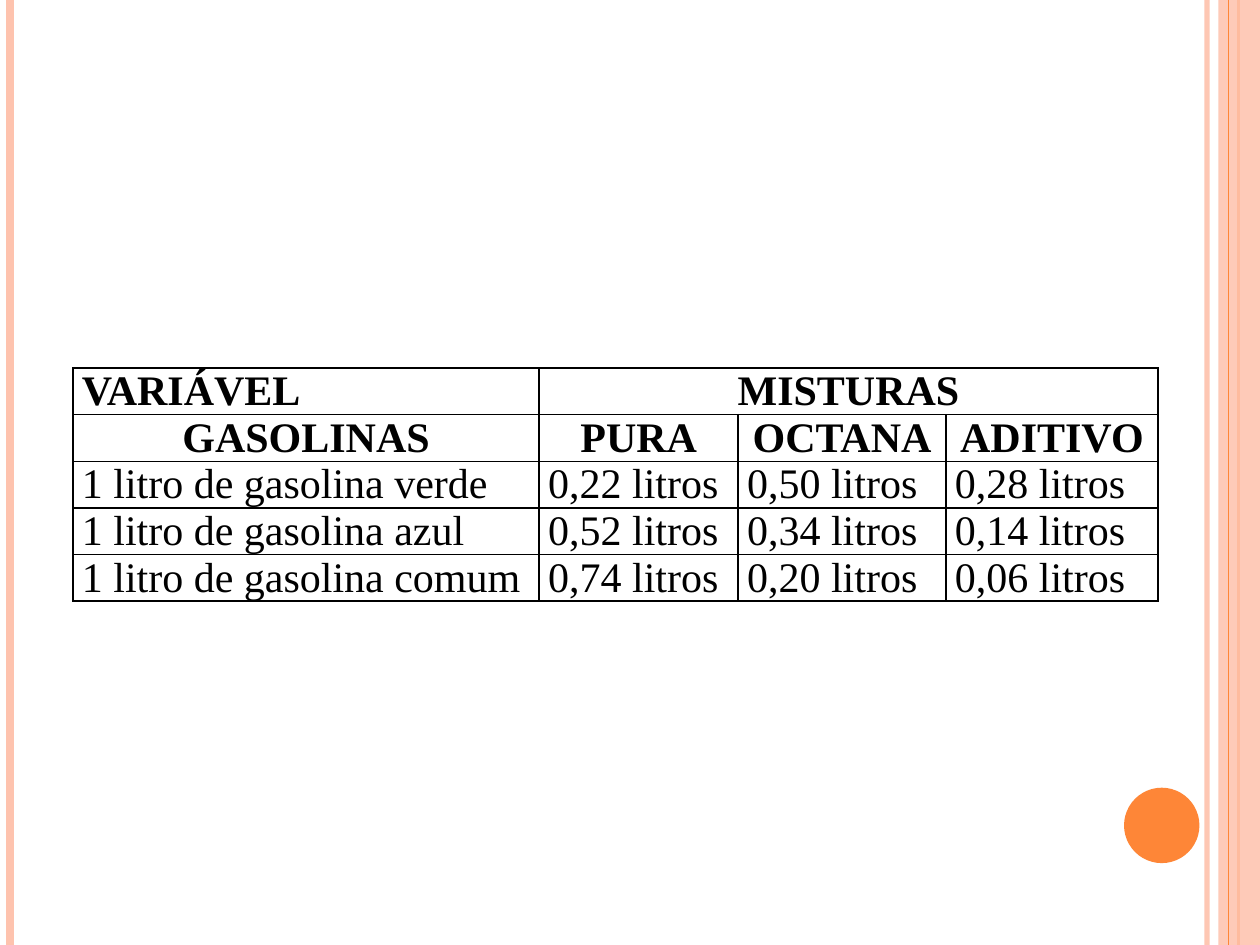
import dataclasses

import lxml.etree
import pptx
import pptx.dml.color
import pptx.enum.shapes
import pptx.enum.text
import pptx.oxml.ns
import pptx.util

Cm = pptx.util.Cm
ALIGN = pptx.enum.text.PP_ALIGN
SHAPE = pptx.enum.shapes.MSO_SHAPE
PAGE_WIDTH, PAGE_HEIGHT = 25.4, 19.05
PEACH, ORANGE, BLACK = "FEC3AE", "FE8637", "000000"
COLUMN_WIDTHS = (9.4, 4.01, 4.19, 4.27)
ROW_HEIGHT = 0.94
ROWS = (
    ("VARIÁVEL", "MISTURAS", "", ""),
    ("GASOLINAS", "PURA", "OCTANA", "ADITIVO"),
    ("1 litro de gasolina verde", "0,22 litros", "0,50 litros", "0,28 litros"),
    ("1 litro de gasolina azul", "0,52 litros", "0,34 litros", "0,14 litros"),
    ("1 litro de gasolina comum", "0,74 litros", "0,20 litros", "0,06 litros"),
)


@dataclasses.dataclass
class Stripe:
    """A full-height vertical line; x in cm, width in points."""
    x: float
    width: float
    color: str
    opacity: int = 100


@dataclasses.dataclass
class Block:
    """A filled shape; lengths in cm, opacity in percent."""
    kind: int
    left: float
    top: float
    width: float
    height: float
    color: str
    opacity: int = 100


DECORATION = (
    Stripe(24.33, 3, PEACH, 93),
    Stripe(0.2, 4.5, PEACH),
    Stripe(24.97, 1.5, ORANGE),
    Block(SHAPE.RECTANGLE, 24.56, 0, 0.84, PAGE_HEIGHT, PEACH, 87),
    Stripe(24.77, 0.75, ORANGE),
    Block(SHAPE.OVAL, 22.66, 15.88, 1.52, 1.52, ORANGE),
)


def rgb(color: str) -> pptx.dml.color.RGBColor:
    """Turn a hex string into a colour."""
    return pptx.dml.color.RGBColor.from_string(color)


def add_child(parent, tag: str, **attributes: str):
    """Append an XML element such as a:alpha and return it."""
    return lxml.etree.SubElement(parent, pptx.oxml.ns.qn(tag), attributes)


def paint(fill, color: str, opacity: int = 100) -> None:
    """Give a fill a solid colour with an opacity in percent."""
    fill.solid()
    fill.fore_color.rgb = rgb(color)
    if opacity < 100:
        color_node = fill._xPr.find(".//" + pptx.oxml.ns.qn("a:srgbClr"))
        add_child(color_node, "a:alpha", val=str(opacity * 1000))


def draw_stripe(page, stripe: Stripe) -> None:
    """Draw a vertical line from top to bottom."""
    line = page.shapes.add_connector(
        pptx.enum.shapes.MSO_CONNECTOR.STRAIGHT,
        Cm(stripe.x), Cm(0), Cm(stripe.x), Cm(PAGE_HEIGHT))
    line.line.width = pptx.util.Pt(stripe.width)
    paint(line.line.fill, stripe.color, stripe.opacity)
    add_child(line._element.spPr, "a:effectLst")


def draw_block(page, block: Block) -> None:
    """Draw a filled shape without outline."""
    shape = page.shapes.add_shape(
        block.kind, Cm(block.left), Cm(block.top), Cm(block.width), Cm(block.height))
    shape.shadow.inherit = False
    shape.line.fill.background()
    paint(shape.fill, block.color, block.opacity)


def format_cell(cell, text: str, bold: bool, alignment) -> None:
    """Write a cell and set its margins, borders and font."""
    cell.margin_left = cell.margin_right = Cm(0.18)
    cell.margin_top = cell.margin_bottom = Cm(0)
    properties = cell._tc.get_or_add_tcPr()
    for side in ("a:lnL", "a:lnR", "a:lnT", "a:lnB"):
        border = add_child(properties, side, w=str(pptx.util.Pt(1)))
        add_child(add_child(border, "a:solidFill"), "a:srgbClr", val=BLACK)
    cell.fill.background()
    paragraph = cell.text_frame.paragraphs[0]
    paragraph.text = text
    paragraph.alignment = alignment
    for font in (paragraph.font, *(span.font for span in paragraph.runs)):
        font.name = "Times New Roman"
        font.size = pptx.util.Pt(24)
        font.bold = bold
        font.color.rgb = rgb(BLACK)


def draw_table(page) -> None:
    """Draw the table of petrol mixtures."""
    table = page.shapes.add_table(
        len(ROWS), len(COLUMN_WIDTHS), Cm(1.47), Cm(7.42),
        Cm(sum(COLUMN_WIDTHS)), Cm(ROW_HEIGHT * len(ROWS))).table
    table.first_row = table.horz_banding = False
    for column, width in zip(table.columns, COLUMN_WIDTHS):
        column.width = Cm(width)
    for row_index, texts in enumerate(ROWS):
        table.rows[row_index].height = Cm(ROW_HEIGHT)
        is_header = row_index < 2
        for column_index, text in enumerate(texts):
            centred = is_header and (row_index, column_index) != (0, 0)
            format_cell(table.cell(row_index, column_index), text, is_header,
                        ALIGN.CENTER if centred else ALIGN.JUSTIFY)
    table.cell(0, 1).merge(table.cell(0, 3))


def main() -> None:
    """Build and save the deck."""
    deck = pptx.Presentation()
    deck.slide_width, deck.slide_height = Cm(PAGE_WIDTH), Cm(PAGE_HEIGHT)
    page = deck.slides.add_slide(deck.slide_layouts[6])
    for item in DECORATION:
        if isinstance(item, Stripe):
            draw_stripe(page, item)
        else:
            draw_block(page, item)
    draw_table(page)
    deck.save("out.pptx")


main()
